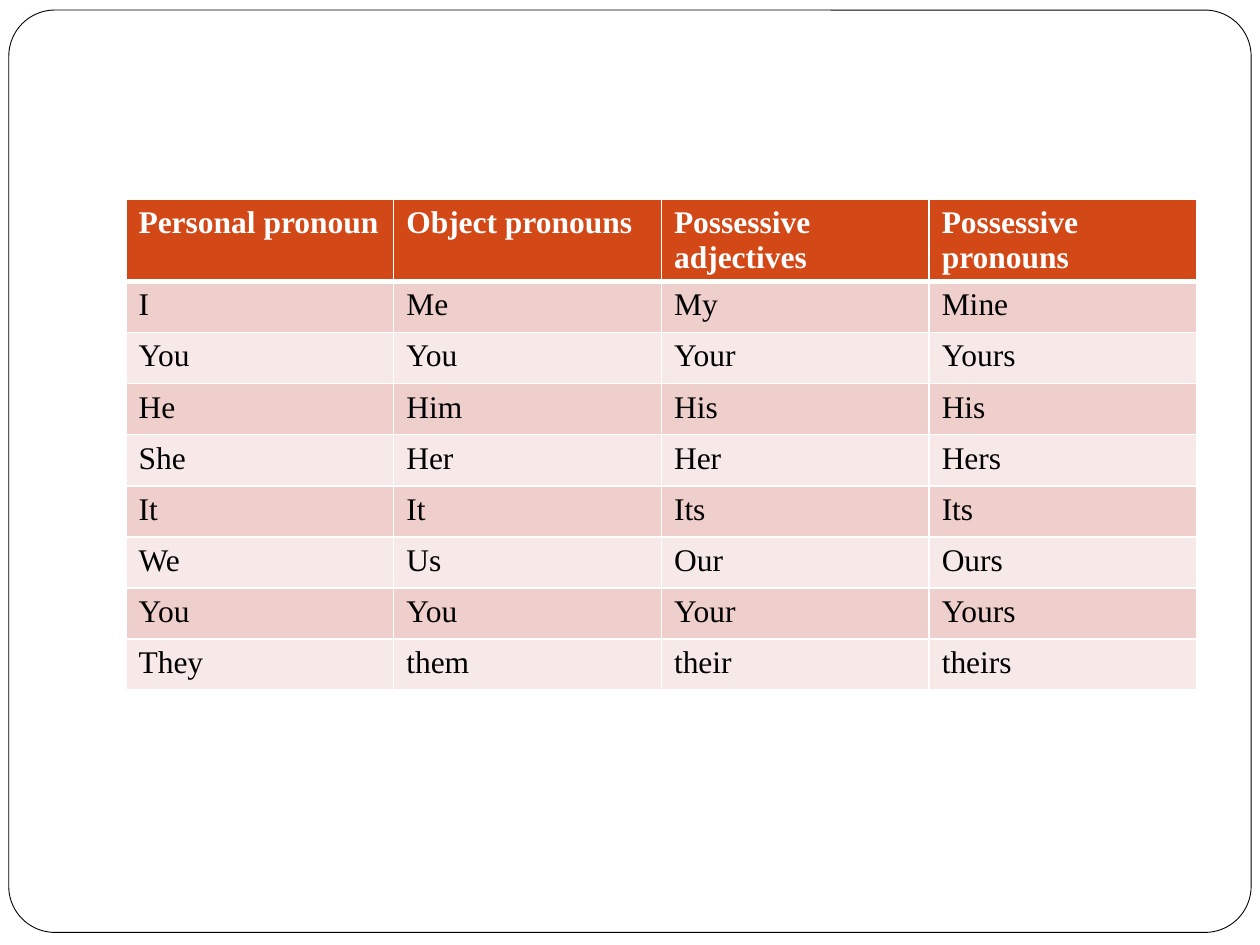
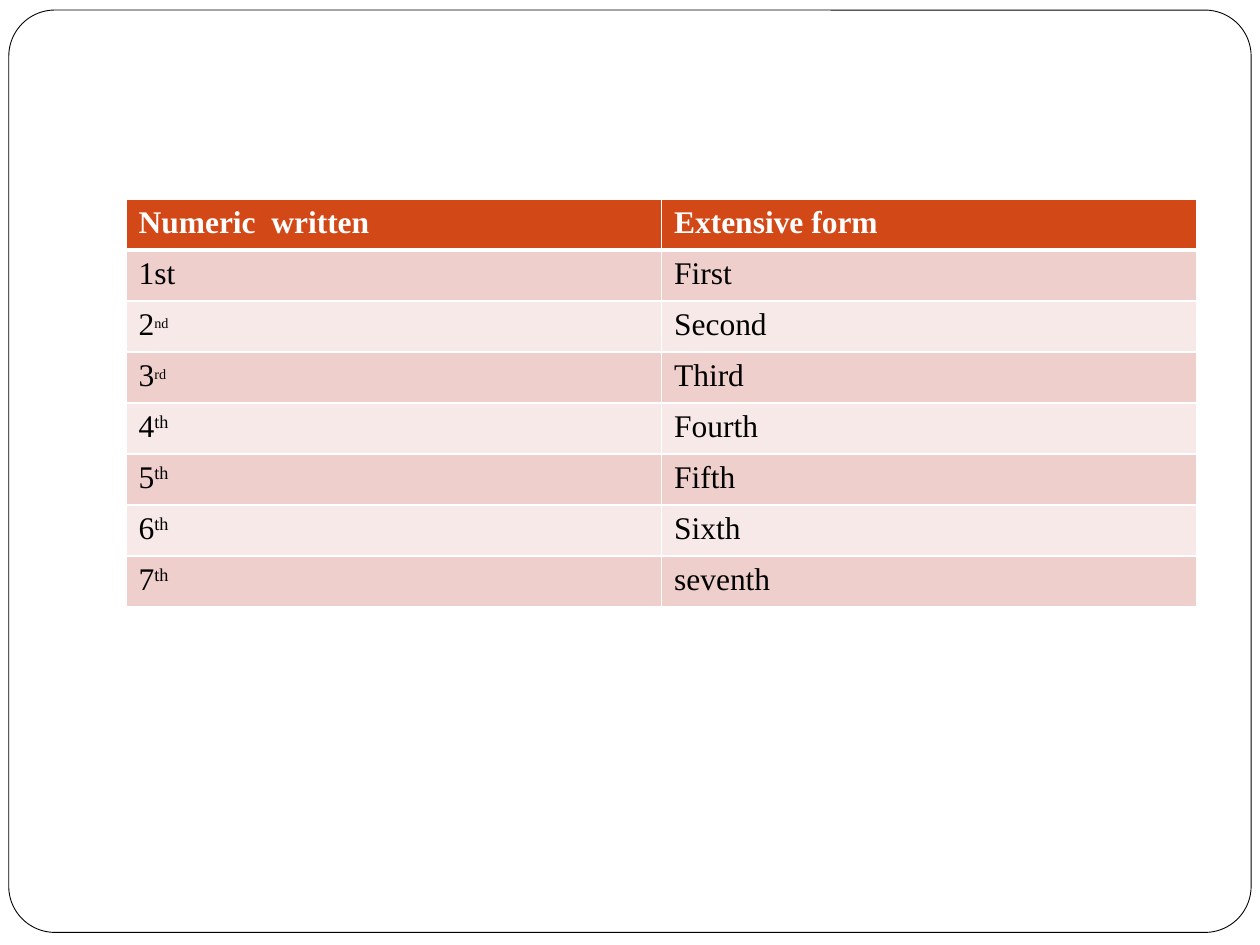
"""Build two grammar slides: pronouns and ordinal numbers."""
from lxml import etree
from pptx import Presentation
from pptx import util as u
from pptx.dml import color
from pptx.enum import shapes
from pptx.oxml import ns

HUES = {"white": "FFFFFF", "black": "000000", "head": "D34817",
        "odd": "EFCFCC", "even": "F7E9E8"}
FONT = "Times New Roman"
PRONOUNS = [
    ("Personal pronoun", "Object pronouns", "Possessive adjectives", "Possessive pronouns"),
    ("I", "Me", "My", "Mine"),
    ("You", "You", "Your", "Yours"),
    ("He", "Him", "His", "His"),
    ("She", "Her", "Her", "Hers"),
    ("It", "It", "Its", "Its"),
    ("We", "Us", "Our", "Ours"),
    ("You", "You", "Your", "Yours"),
    ("They", "them", "their", "theirs"),
]
ORDINALS = [
    ("Numeric  written", "Extensive form"),
    ("1st", "First"),
    ("2^nd", "Second"),
    ("3^rd", "Third"),
    ("4^th", "Fourth"),
    ("5^th", "Fifth"),
    ("6^th", "Sixth"),
    ("7^th", "seventh"),
]
SMALL = ("nd", "rd")


def rgb(name):
    return color.RGBColor.from_string(HUES[name])


def add_frame(slide):
    frame = slide.shapes.add_shape(
        shapes.MSO_SHAPE.ROUNDED_RECTANGLE,
        u.Inches(0.07), u.Inches(0.08), u.Inches(9.86), u.Inches(7.32))
    frame.adjustments[0] = 0.05
    frame.shadow.inherit = False
    frame.fill.solid()
    frame.fill.fore_color.rgb = rgb("white")
    frame.line.color.rgb = rgb("black")
    frame.line.width = u.Pt(0.5)


def set_edges(cell, row):
    props = cell._tc.get_or_add_tcPr()
    widths = {"L": 1, "R": 1, "T": 3 if row == 1 else 1, "B": 3 if row == 0 else 1}
    for side, width in widths.items():
        edge = etree.SubElement(props, ns.qn(f"a:ln{side}"), w=str(u.Pt(width)))
        fill = etree.SubElement(edge, ns.qn("a:solidFill"))
        etree.SubElement(fill, ns.qn("a:srgbClr"), val=HUES["white"])


def set_text(cell, words, head):
    base, _, suffix = words.partition("^")
    para = cell.text_frame.paragraphs[0]
    para.text = base
    if suffix:
        run = para.add_run()
        run.text = suffix
        run._r.get_or_add_rPr().set("baseline", "30000")
    for run in para.runs:
        run.font.name = FONT
        run.font.size = u.Pt(14 if run.text in SMALL else 18)
        run.font.bold = head
        run.font.color.rgb = rgb("white" if head else "black")


def add_grid(slide, rows, height):
    grid = slide.shapes.add_table(
        len(rows), len(rows[0]), u.Inches(1), u.Inches(1.58),
        u.Inches(8.5), u.Inches(height)).table
    for i, row in enumerate(rows):
        hue = "head" if i == 0 else "odd" if i % 2 else "even"
        for j, words in enumerate(row):
            cell = grid.cell(i, j)
            set_edges(cell, i)
            cell.fill.solid()
            cell.fill.fore_color.rgb = rgb(hue)
            set_text(cell, words, i == 0)


def main():
    deck = Presentation()
    deck.slide_width, deck.slide_height = u.Inches(10), u.Inches(7.5)
    for rows, height in ((PRONOUNS, 3.65), (ORDINALS, 3.24)):
        slide = deck.slides.add_slide(deck.slide_layouts[6])
        add_frame(slide)
        add_grid(slide, rows, height)
    deck.save("out.pptx")


if __name__ == "__main__":
    main()
